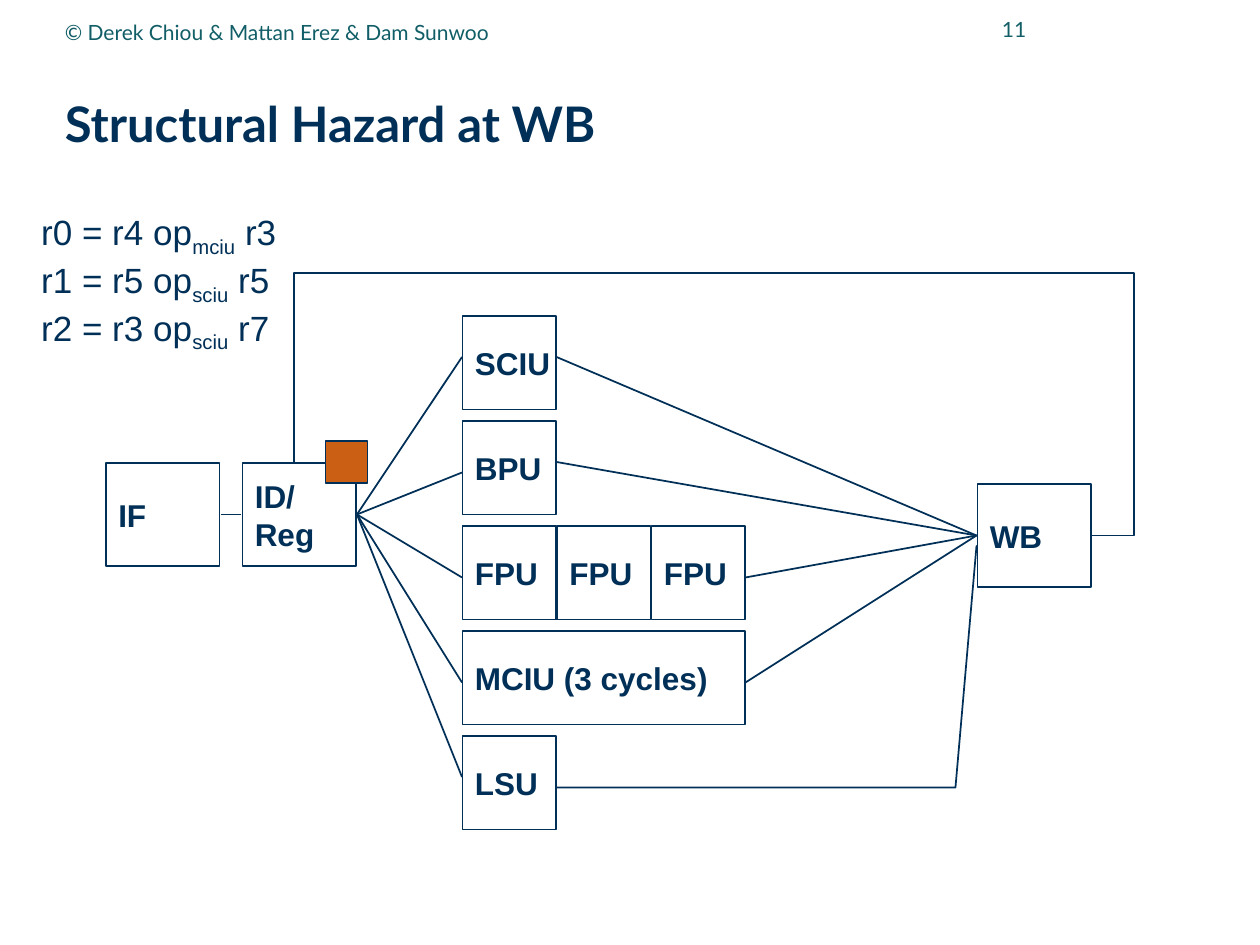
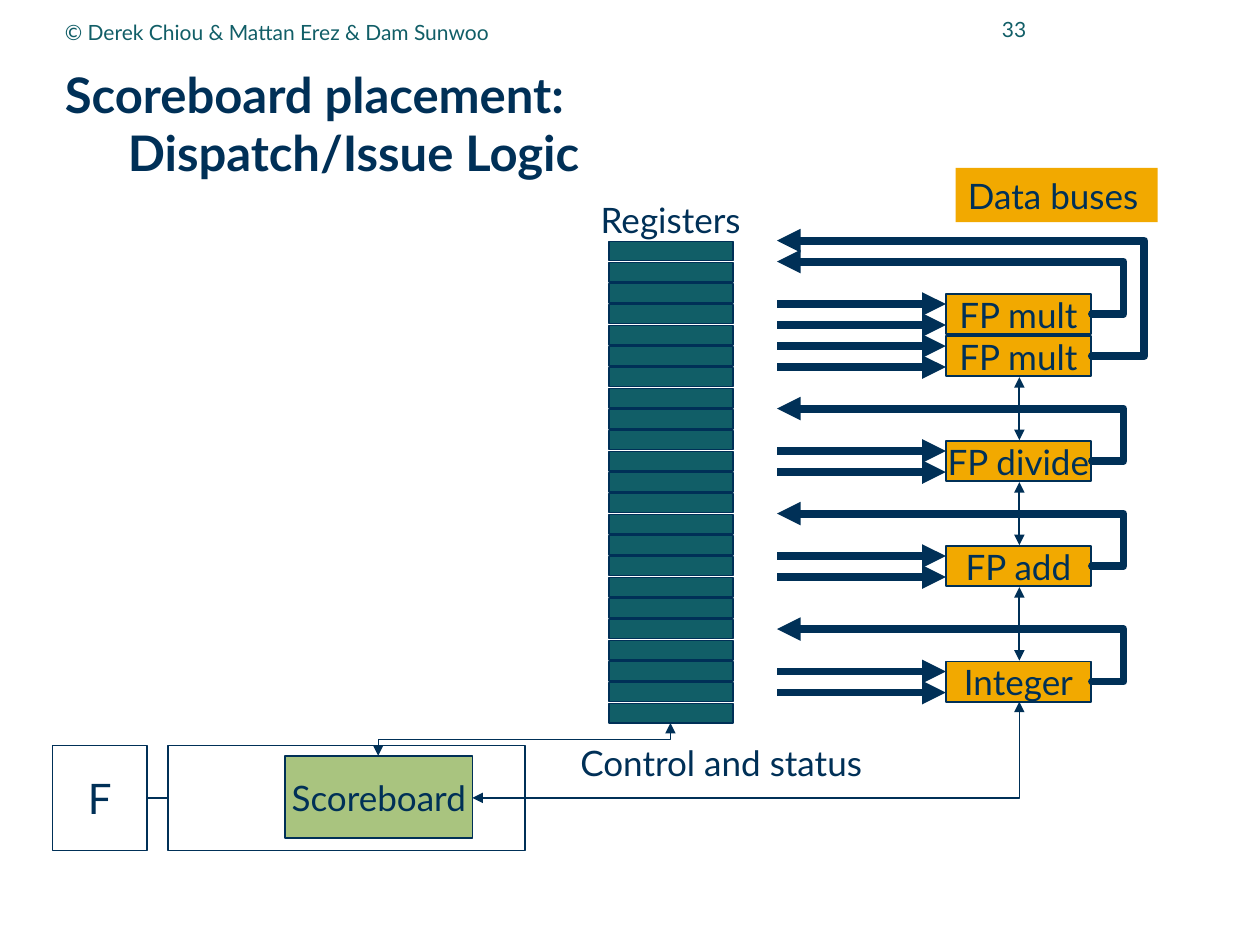
from dataclasses import dataclass
from itertools import pairwise
from typing import NamedTuple, Optional

from lxml import etree
from pptx import Presentation
from pptx.dml.color import RGBColor
from pptx.enum.shapes import MSO_CONNECTOR, MSO_SHAPE
from pptx.enum.text import MSO_ANCHOR, MSO_AUTO_SIZE, PP_ALIGN
from pptx.oxml.ns import qn
from pptx.util import Pt

RECTANGLE = MSO_SHAPE.RECTANGLE
STRAIGHT, ELBOW = MSO_CONNECTOR.STRAIGHT, MSO_CONNECTOR.ELBOW
TOP, MIDDLE = MSO_ANCHOR.TOP, MSO_ANCHOR.MIDDLE
LEFT, CENTER, RIGHT = PP_ALIGN.LEFT, PP_ALIGN.CENTER, PP_ALIGN.RIGHT
GROW = MSO_AUTO_SIZE.SHAPE_TO_FIT_TEXT


@dataclass(frozen=True)
class Theme:
    navy: RGBColor = RGBColor(0x00, 0x30, 0x57)
    teal: RGBColor = RGBColor(0x11, 0x5E, 0x67)
    gold: RGBColor = RGBColor(0xF2, 0xA9, 0x00)
    orange: RGBColor = RGBColor(0xCB, 0x60, 0x15)
    green: RGBColor = RGBColor(0xA9, 0xC4, 0x7F)
    heading_font: str = "Lato"
    diagram_font: str = "Arial"
    title_size: float = 28
    fetch_size: float = 24
    label_size: float = 20
    stage_size: float = 18
    footer_size: float = 12
    hairline: float = 0.75
    wire: float = 1
    bus: float = 4.5


THEME = Theme()


class Point(NamedTuple):
    x: float
    y: float


class Box(NamedTuple):
    left: float
    top: float
    width: float
    height: float

    def lengths(self) -> list:
        return [Pt(value) for value in self]


class Style(NamedTuple):
    size: float
    font: str = THEME.heading_font
    color: RGBColor = THEME.navy
    bold: bool = False
    align: PP_ALIGN = LEFT
    anchor: MSO_ANCHOR = MIDDLE
    wrap: bool = False
    grow: bool = False


class Block(NamedTuple):
    box: Box
    lines: tuple = ()


class Instruction(NamedTuple):
    start: str
    unit: str
    operand: str


class FunctionalUnit(NamedTuple):
    name: str
    top: float
    rise: float = 18.5
    bus_right: float = 642


TITLE = Style(THEME.title_size, bold=True, wrap=True)
FOOTER = Style(THEME.footer_size, color=THEME.teal, wrap=True)
PAGE_NUMBER = FOOTER._replace(align=RIGHT)
STAGE = Style(THEME.stage_size, THEME.diagram_font, bold=True)
CODE = Style(THEME.label_size, THEME.diagram_font, anchor=TOP, grow=True)
LABEL = Style(THEME.label_size, anchor=TOP, grow=True)
UNIT = Style(THEME.label_size, align=CENTER)
FETCH = Style(THEME.fetch_size, align=CENTER)


def add_run(paragraph, text: str, style: Style, subscript: bool = False) -> None:
    run = paragraph.add_run()
    run.text = text
    run.font.size = Pt(style.size)
    run.font.name = style.font
    run.font.bold = style.bold
    run.font.color.rgb = style.color
    if subscript:
        run.font._element.set("baseline", "-25000")


def prepare_frame(frame, style: Style) -> None:
    frame.word_wrap = style.wrap
    frame.vertical_anchor = style.anchor
    if style.grow:
        frame.auto_size = GROW


def next_paragraph(frame, index: int, style: Style):
    paragraph = frame.add_paragraph() if index else frame.paragraphs[0]
    paragraph.alignment = style.align
    return paragraph


def write(frame, lines: tuple, style: Style) -> None:
    prepare_frame(frame, style)
    for index, line in enumerate(lines):
        add_run(next_paragraph(frame, index, style), line, style)


def add_label(slide, box: Box, text: str, style: Style) -> None:
    write(slide.shapes.add_textbox(*box.lengths()).text_frame, (text,), style)


def add_title(slide, lines: tuple) -> None:
    frame = slide.shapes.add_textbox(*Box(30, 36, 677.5, 70.5).lengths()).text_frame
    prepare_frame(frame, TITLE)
    paragraph = next_paragraph(frame, 0, TITLE)
    paragraph.line_spacing = 0.99
    tabs = etree.SubElement(paragraph._p.get_or_add_pPr(), qn("a:tabLst"))
    etree.SubElement(tabs, qn("a:tab"), pos=str(Pt(36)), algn="l")
    for index, line in enumerate(lines):
        if index:
            paragraph.add_line_break()
        add_run(paragraph, line, TITLE)


def add_block(slide, block: Block, style: Style = UNIT,
              fill: Optional[RGBColor] = None,
              line_width: Optional[float] = THEME.wire) -> None:
    shape = slide.shapes.add_shape(RECTANGLE, *block.box.lengths())
    shape.shadow.inherit = False
    if fill is None:
        shape.fill.background()
    else:
        shape.fill.solid()
        shape.fill.fore_color.rgb = fill
    if line_width is None:
        shape.line.fill.background()
    else:
        shape.line.color.rgb = THEME.navy
        shape.line.width = Pt(line_width)
    write(shape.text_frame, block.lines, style)


def style_line(line, width: float, head: bool, tail: bool) -> None:
    line.color.rgb = THEME.navy
    line.width = Pt(width)
    for tag, wanted in (("a:headEnd", head), ("a:tailEnd", tail)):
        if wanted:
            etree.SubElement(line._get_or_add_ln(), qn(tag), type="triangle")


def add_wire(slide, start: Point, end: Point, width: float = THEME.wire,
             head: bool = False, tail: bool = False, kind: MSO_CONNECTOR = STRAIGHT):
    ends = [Pt(value) for value in (*start, *end)]
    wire = slide.shapes.add_connector(kind, *ends)
    style_line(wire.line, width, head, tail)
    etree.SubElement(wire._element.spPr, qn("a:effectLst"))
    return wire


def add_route(slide, points: list[Point], width: float = THEME.wire,
              tail: bool = False) -> None:
    start, *corners = [(Pt(point.x), Pt(point.y)) for point in points]
    builder = slide.shapes.build_freeform(*start, scale=1.0)
    builder.add_line_segments(corners, close=False)
    route = builder.convert_to_shape()
    route.shadow.inherit = False
    route.fill.background()
    style_line(route.line, width, False, tail)
    route.line._get_or_add_ln().set("cap", "rnd")


def start_slide(presentation, number: str, title: tuple):
    slide = presentation.slides.add_slide(presentation.slide_layouts[6])
    add_title(slide, title)
    add_label(slide, Box(528, -1.5, 65.5, 36), number, PAGE_NUMBER)
    add_label(slide, Box(30, 2, 408, 33),
              "© Derek Chiou & Mattan Erez & Dam Sunwoo", FOOTER)
    return slide


def build_structural_hazard(presentation) -> None:
    slide = start_slide(presentation, "11", ("Structural Hazard at WB",))

    for left, top, lines in ((60.5, 264.5, ("IF",)), (138.5, 264.5, ("ID/", "Reg")),
                             (558.5, 276.5, ("WB",))):
        add_block(slide, Block(Box(left, top, 65, 59), lines), STAGE)

    side, lane_pitch, stage_pitch = 53.5, 60, 54
    lanes = (("SCIU",), ("BPU",), ("FPU",) * 3, ("MCIU (3 cycles)",), ("LSU",))
    for lane, names in enumerate(lanes):
        for stage, name in enumerate(names):
            width = side + 2 * stage_pitch if name.startswith("MCIU") else side
            box = Box(264.25 + stage * stage_pitch, 180.5 + lane * lane_pitch, width, side)
            add_block(slide, Block(box, (name,)), STAGE)

    decode_exit, writeback_entry = Point(204, 294), Point(558, 306)
    for entry_y in (204, 270, 330, 390, 444):
        add_wire(slide, Point(264, entry_y), decode_exit)
    for unit_exit in (Point(318, 204), Point(318, 264), Point(426, 330), Point(426, 390)):
        add_wire(slide, unit_exit, writeback_entry)
    add_wire(slide, Point(138, 294), Point(126, 294))
    add_route(slide, [Point(318, 450), Point(546, 450), Point(558, 312)])
    add_route(slide, [Point(624, 306), Point(648, 306), Point(648, 156),
                      Point(168, 156), Point(168, 264)])

    program = slide.shapes.add_textbox(*Box(16.5, 116.75, 152.5, 80).lengths()).text_frame
    prepare_frame(program, CODE)
    instructions = (Instruction("r0 = r4 op", "mciu", " r3"),
                    Instruction("r1 = r5 op", "sciu", " r5"),
                    Instruction("r2 = r3 op", "sciu", " r7"))
    for index, instruction in enumerate(instructions):
        paragraph = next_paragraph(program, index, CODE)
        add_run(paragraph, instruction.start, CODE)
        add_run(paragraph, instruction.unit, CODE, subscript=True)
        add_run(paragraph, instruction.operand, CODE)

    add_block(slide, Block(Box(186, 252, 24, 24)), fill=THEME.orange,
              line_width=THEME.hairline)


def build_scoreboard_placement(presentation) -> None:
    slide = start_slide(presentation, "33",
                        ("Scoreboard placement:", "\tDispatch/Issue Logic"))
    add_label(slide, Box(334, 110, 98.5, 31), "Registers",
              LABEL._replace(align=CENTER))

    units = (FunctionalUnit("FP mult", 168),
             FunctionalUnit("FP mult", 192, rise=54.5, bus_right=654),
             FunctionalUnit("FP divide", 252),
             FunctionalUnit("FP add", 312),
             FunctionalUnit("Integer", 378))
    unit_left, unit_right, unit_height, unit_center = 540.5, 624, 23, 582.5
    bus_left = 444
    for unit in units:
        add_block(slide, Block(Box(unit_left, unit.top, 83, unit_height), (unit.name,)),
                  fill=THEME.gold)
        for offset in (5.75, 17.75):
            add_wire(slide, Point(unit_left, unit.top + offset),
                     Point(bus_left, unit.top + offset), THEME.bus, head=True)

    add_block(slide, Block(Box(163, 432, 107, 47), ("Scoreboard",)), fill=THEME.green)
    for upper, lower in pairwise(units[1:]):
        add_wire(slide, Point(unit_center, upper.top + unit_height + 0.5),
                 Point(unit_center, lower.top - 0.5), head=True, tail=True)

    for register in range(23):
        add_block(slide, Block(Box(348, 138 + 12 * register, 71, 11)), fill=THEME.teal)

    for unit in units:
        result_y, bus_y = unit.top + 11.5, unit.top - unit.rise
        add_route(slide, [Point(unit_right, result_y), Point(unit.bus_right, result_y),
                          Point(unit.bus_right, bus_y), Point(bus_left, bus_y)],
                  THEME.bus, tail=True)

    add_block(slide, Block(Box(546, 96, 115.5, 31), ("Data buses",)), LABEL,
              THEME.gold, None)
    add_label(slide, Box(324.5, 420, 176.5, 31), "Control and status", LABEL)

    register_control = add_wire(slide, Point(290.25, 339), Point(309, 506),
                                THEME.hairline, True, True, ELBOW)
    register_control._element.spPr.find(qn("a:xfrm")).set("rot", str(270 * 60000))
    unit_control = add_wire(slide, Point(270, 456), Point(unit_center, 401),
                            THEME.hairline, True, True, ELBOW)
    unit_control._element.spPr.find(qn("a:prstGeom")).set("prst", "bentConnector2")

    add_block(slide, Block(Box(30, 426, 54, 60), ("F",)), FETCH,
              line_width=THEME.hairline)
    add_block(slide, Block(Box(96, 426, 204, 60)), line_width=THEME.hairline)
    add_wire(slide, Point(84, 456), Point(96, 456), THEME.hairline)


def main() -> None:
    presentation = Presentation()
    presentation.slide_width, presentation.slide_height = Pt(720), Pt(540)
    build_structural_hazard(presentation)
    build_scoreboard_placement(presentation)
    presentation.save("out.pptx")


if __name__ == "__main__":
    main()
